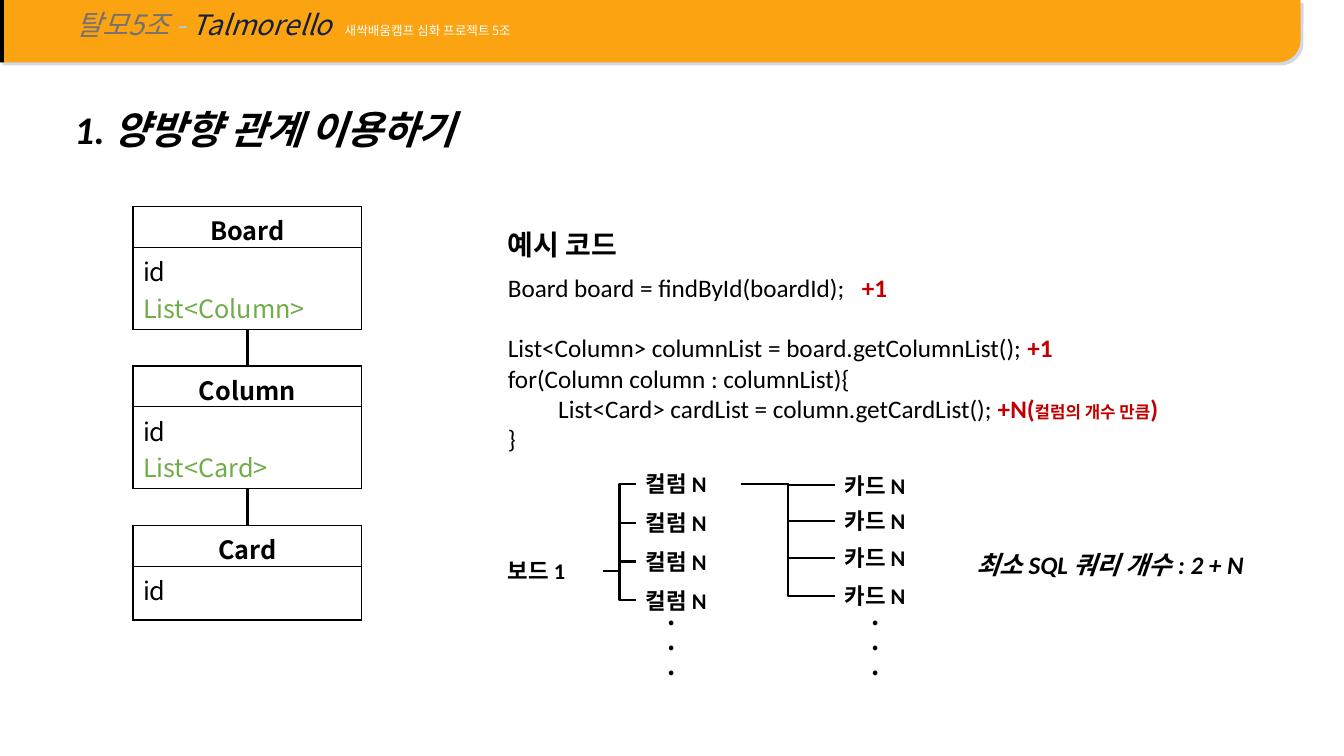
from lxml import etree
from pptx import Presentation
from pptx.dml.color import RGBColor
from pptx.enum.shapes import MSO_CONNECTOR as Connector, MSO_SHAPE as Shape
from pptx.enum.text import MSO_ANCHOR as Anchor, MSO_AUTO_SIZE as AutoSize, PP_ALIGN as Align
from pptx.oxml.ns import qn
from pptx.util import Pt

BLACK, RED, GREEN = "000000", "C00000", "70AD47"
LATIN, KOREAN = "Calibri", "Noto Sans CJK KR"
TIGHT = 0.83


def color(value):
    return RGBColor.from_string(value)


def add_xml(parent, tag, **attributes):
    element = etree.SubElement(parent, qn(tag))
    for name, value in attributes.items():
        element.set(name, str(value))
    return element


class SlideBuilder:
    def __init__(self, slide, font=LATIN):
        self.slide, self.font = slide, font

    def format_run(self, run, size, fill=BLACK, bold=False, italic=False, font=None):
        run.font.name = font or self.font
        run.font.size = Pt(size)
        run.font.bold, run.font.italic = bold, italic
        run.font.color.rgb = color(fill)
        add_xml(run.font._element, "a:ea", typeface=font or self.font)

    def fit_frame(self, shape):
        frame = shape.text_frame
        frame.word_wrap = True
        frame.auto_size = AutoSize.SHAPE_TO_FIT_TEXT
        frame.vertical_anchor = Anchor.TOP
        return frame

    def title(self, text, left, top, width, height, size):
        shape = self.slide.shapes.title
        shape.left, shape.top, shape.width, shape.height = map(Pt, (left, top, width, height))
        frame = self.fit_frame(shape)
        frame.text = text
        paragraph = frame.paragraphs[0]
        paragraph.alignment = Align.LEFT
        self.format_run(paragraph.runs[0], size, bold=True, italic=True)

    def text(self, lines, left, top, width, height, spacing=None):
        """Each line is a list of (text, run style) pairs."""
        shape = self.slide.shapes.add_textbox(*map(Pt, (left, top, width, height)))
        frame = self.fit_frame(shape)
        for index, line in enumerate(lines):
            paragraph = frame.add_paragraph() if index else frame.paragraphs[0]
            paragraph.font.size = Pt(18)
            if spacing:
                paragraph.line_spacing = spacing
            for content, style in line:
                run = paragraph.add_run()
                run.text = content
                self.format_run(run, **style)
        return shape

    def label(self, text, left, top):
        return self.text([[(text, dict(size=16, bold=True))]], left, top, 75, 26.6)

    def box(self, kind, left, top, width, height, fill):
        shape = self.slide.shapes.add_shape(kind, *map(Pt, (left, top, width, height)))
        shape.shadow.inherit = False
        shape.fill.solid()
        shape.fill.fore_color.rgb = color(fill)
        shape.line.fill.background()
        return shape

    def connector(self, kind, points, weight):
        line = self.slide.shapes.add_connector(kind, *map(Pt, points))
        line.line.color.rgb = color(BLACK)
        line.line.width = Pt(weight)
        add_xml(line._element.spPr, "a:effectLst")
        return line

    def branch(self, parent, child):
        line = self.connector(Connector.ELBOW, (0, 0, 10, 10), 1.5)
        line.begin_connect(parent, 3)
        line.end_connect(child, 1)

    def entity(self, name, fields, left, top, width, heights):
        frame = self.slide.shapes.add_table(2, 1, *map(Pt, (left, top, width, sum(heights))))
        table = frame.table
        table.first_row = table.horz_banding = False
        for row, height, lines in zip(table.rows, heights, ([name], fields)):
            row.height = Pt(height)
            cell = row.cells[0]
            cell.text_frame.text = "\n".join(lines)
            properties = cell._tc.get_or_add_tcPr()
            for side in ("a:lnL", "a:lnR", "a:lnT", "a:lnB"):
                border = add_xml(properties, side, w=Pt(1))
                add_xml(add_xml(border, "a:solidFill"), "a:srgbClr", val=BLACK)
            cell.fill.background()
            heading = lines is not fields
            for paragraph in cell.text_frame.paragraphs:
                paragraph.alignment = Align.CENTER if heading else Align.LEFT
                run = paragraph.runs[0]
                fill = GREEN if run.text.startswith("List") else BLACK
                self.format_run(run, 18, fill, bold=heading, font=KOREAN)


def main():
    presentation = Presentation()
    presentation.slide_width, presentation.slide_height = Pt(960), Pt(540)
    slide = presentation.slides.add_slide(presentation.slide_layouts[5])
    builder = SlideBuilder(slide)
    builder.title("1. 양방향 관계 이용하기", 46, 71.3, 310, 41, 28)

    # Entity tables and the links between them
    entities = [
        ("Board", ["id", "List<Column>"], 147.6, 58.4),
        ("Column", ["id", "List<Card>"], 261.4, 58.4),
        ("Card", ["id"], 375.2, 38.5),
    ]
    for name, fields, top, body in entities:
        builder.entity(name, fields, 95, top, 163.4, (29.2, body))
    for top in (235, 348.8):
        builder.connector(Connector.STRAIGHT, (176.6, top, 176.6, top + 26.4), 2.25)

    # Header band
    band = builder.box(Shape.ROUND_1_RECTANGLE, 0, 0, 929, 44.6, "FCA311")
    band.adjustments[0] = 0.36
    band._element.spPr.find(qn("a:xfrm")).set("flipV", "1")
    shadow = add_xml(band._element.spPr.find(qn("a:effectLst")), "a:outerShdw",
                     blurRad=0, dist=Pt(3), dir=45 * 60000, algn="tl", rotWithShape=0)
    add_xml(add_xml(shadow, "a:srgbClr", val="1C4289"), "a:alpha", val=20000)
    builder.box(Shape.RECTANGLE, 0, 0, 2.9, 44.6, BLACK)
    header = dict(size=20, italic=True, font=KOREAN)
    builder.text([[
        ("탈모5조 ", dict(header, fill="767171")),
        ("- ", dict(header, fill="B4C7E7")),
        ("Talmorello  ", dict(header, fill="14213D")),
        ("새싹배움캠프 심화 프로젝트 5조", dict(size=9, fill="FFFFFF", font=KOREAN)),
    ]], 47.5, 5.8, 548.6, 31.5, TIGHT)

    # Example code with query counts
    code, count = dict(size=18), dict(size=18, fill=RED, bold=True)
    builder.text([
        [("Board board = findById(boardId);   ", code), ("+1", count)],
        [],
        [("List<Column> columnList = board.getColumnList(); ", code), ("+1", count)],
        [("for(Column column : columnList){", code)],
        [("\tList<Card> cardList = column.getCardList(); ", code), ("+N(", count),
         ("컬럼의 개수 만큼", dict(count, size=12)), (")", count)],
        [("}", code)],
    ], 355.7, 190.8, 563.8, 138.2)
    builder.text([[("예시 코드", dict(size=20, bold=True))]], 355.7, 159.1, 563.8, 31.5)

    # Query tree: board, columns, cards
    board = builder.label("보드 1", 355.7, 394.4)
    columns = [builder.label("컬럼 N", 454.3, 332.4 + 27.7 * row) for row in range(4)]
    cards = [builder.label("카드 N", 596.2, top) for top in (333.4, 358.6, 385.4, 412.4)]
    for column in columns:
        builder.branch(board, column)
    for card in cards:
        builder.branch(columns[0], card)
    dot = [(".", dict(size=18, bold=True, font=KOREAN))]
    for left in (469.4, 615.6):
        builder.text([dot] * 3, left, 429.1, 18, 72.7, TIGHT)

    # Conclusion
    builder.text([[("최소 SQL 쿼리 개수 : 2 + N", dict(size=18, bold=True, italic=True))]],
                 690.5, 388.8, 228.2, 29)
    presentation.save("out.pptx")


if __name__ == "__main__":
    main()
